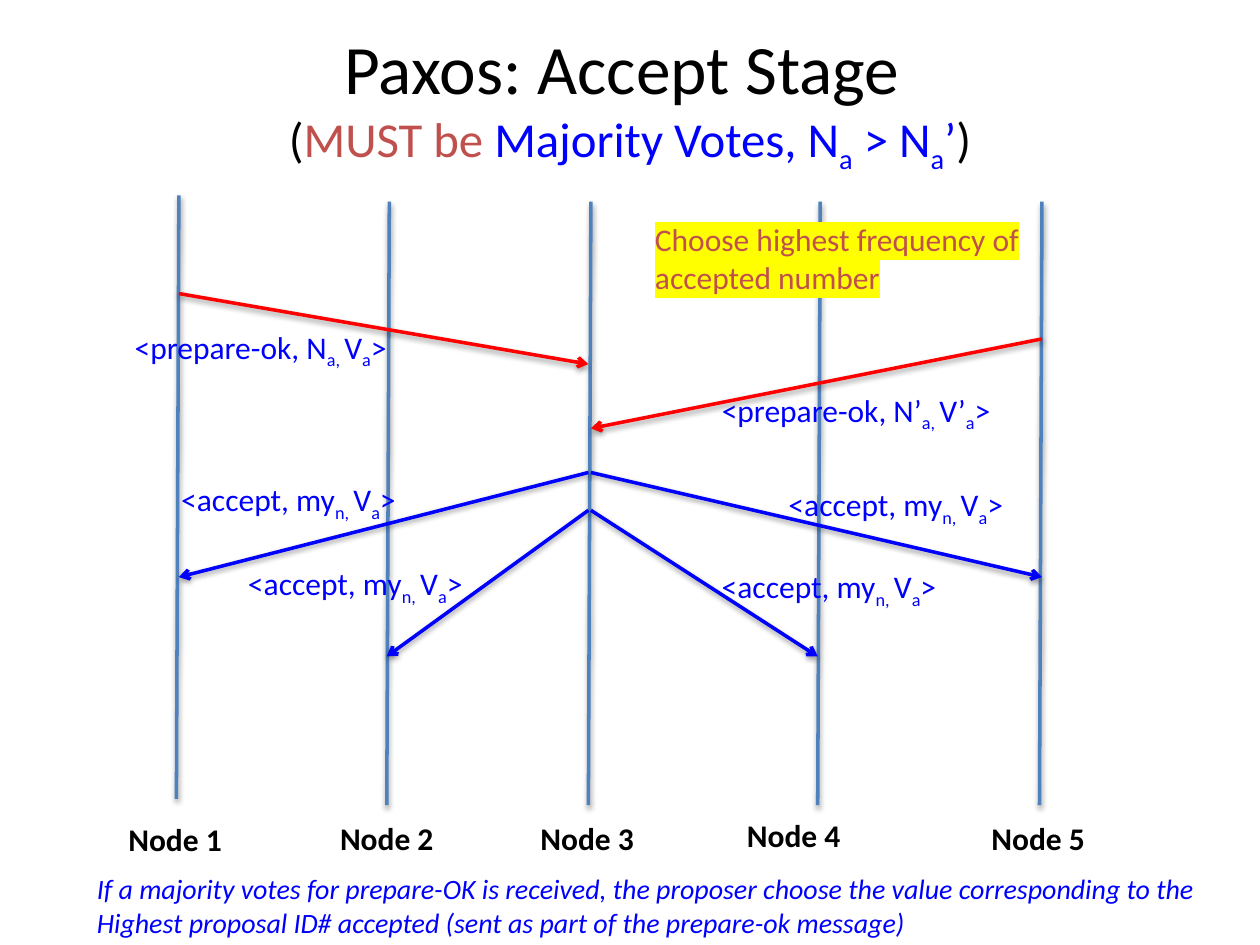
from lxml.etree import SubElement
from pptx import Presentation
from pptx.dml.color import RGBColor
from pptx.enum.shapes import MSO_CONNECTOR as Link
from pptx.enum.text import MSO_ANCHOR as Anchor, MSO_AUTO_SIZE as Fit, PP_ALIGN as Align
from pptx.oxml.ns import qn
from pptx.util import Pt

PX = 9144
BLACK = RGBColor(0, 0, 0)
BLUE = RGBColor(0, 0, 255)
RED = RGBColor(255, 0, 0)
BRICK = RGBColor(0xC0, 0x50, 0x4D)
STEEL = RGBColor(0x4F, 0x81, 0xBD)
ACCEPT = "<accept, my|n, |V|a|>"


def write(para, text, size=18, color=BLUE, bold=False, italic=False, mark=None):
    for i, part in enumerate(text.split("|")):
        run = para.add_run()
        run.text = part
        font = run.font
        font.size, font.bold, font.italic = Pt(size), bold, italic
        font.color.rgb = color
        props = run._r.get_or_add_rPr()
        if i % 2:
            props.set("baseline", "-25000")
        if mark:
            glow = SubElement(props, qn("a:highlight"))
            SubElement(glow, qn("a:srgbClr"), val=mark)
        font.name = "Calibri"


def label(slide, left, top, wide, high, *lines, wrap=False, **form):
    box = slide.shapes.add_textbox(*(v * PX for v in (left, top, wide, high)))
    frame = box.text_frame
    frame.word_wrap = wrap
    frame.auto_size = Fit.SHAPE_TO_FIT_TEXT
    for i, text in enumerate(lines):
        para = frame.add_paragraph() if i else frame.paragraphs[0]
        write(para, text, **form)


def stroke(slide, start, end, color, arrow=False):
    line = slide.shapes.add_connector(Link.STRAIGHT, *(v * PX for v in start + end))
    line.line.color.rgb = color
    line.line.width = Pt(2)
    if arrow:
        SubElement(line.line._get_or_add_ln(), qn("a:tailEnd"), type="arrow")
    effects = SubElement(line._element.spPr, qn("a:effectLst"))
    shade = SubElement(effects, qn("a:outerShdw"), blurRad="40000", dist="20000",
                       dir="5400000", rotWithShape="0")
    tint = SubElement(shade, qn("a:srgbClr"), val="000000")
    SubElement(tint, qn("a:alpha"), val="38000")


def head(slide, left, top, wide, high):
    title = slide.shapes.title
    title.left, title.top, title.width, title.height = (
        v * PX for v in (left, top, wide, high))
    frame = title.text_frame
    frame.auto_size = Fit.NONE
    frame.vertical_anchor = Anchor.MIDDLE
    para = frame.paragraphs[0]
    para.alignment = Align.CENTER
    write(para, "Paxos: Accept Stage ", size=39.6, color=BLACK)
    para.add_line_break()
    for text, color in (("(", BLACK), ("MUST be ", BRICK),
                        ("Majority Votes, N|a| > N|a|’", BLUE), (")", BLACK)):
        write(para, text, size=27.9, color=color)


def lanes(slide, left, top):
    nodes = ((0, 0, -50, 491), (167, 5, 118, 490), (327, 5, 277, 490),
             (509, 5, 441, 488), (685, 5, 635, 490))
    for i, (x, y, tag, base) in enumerate(nodes, 1):
        x, y = left + x, top + y
        stroke(slide, (x, y), (x - 2, y + 479), STEEL)
        label(slide, left + tag, top + base, 95, 40, f"Node {i}",
              color=BLACK, bold=True)


def chat(slide, left, top):
    for x, y, to, end, color in (
            (0, 78, 325, 134, RED), (685, 114, 327, 185, RED),
            (325, 220, 0, 303, BLUE), (325, 250, 165, 366, BLUE),
            (327, 220, 685, 303, BLUE), (327, 250, 507, 366, BLUE)):
        stroke(slide, (left + x, top + y), (left + to, top + end), color, arrow=True)
    for x, y, wide, text in (
            (-45, 100, 229, "<prepare-ok, N|a, |V|a|>"),
            (421, 150, 242, "<prepare-ok, N’|a, |V’|a|>"),
            (-8, 221, 196, ACCEPT), (45, 288, 196, ACCEPT),
            (474, 225, 196, ACCEPT), (421, 290, 196, ACCEPT)):
        label(slide, left + x, top + y, wide, 71, text)
    label(slide, left + 368, top + 15, 387, 71,
          "Choose highest frequency of accepted number",
          wrap=True, color=BRICK, mark="FFFF00")


def foot(slide, left, top, wide, high):
    label(slide, left, top, wide, high,
          "If a majority votes for prepare-OK is received, the proposer choose "
          "the value corresponding to the",
          "Highest proposal ID# accepted (sent as part of the prepare-ok message)",
          size=16, italic=True)


def main():
    deck = Presentation()
    deck.slide_width, deck.slide_height = 1000 * PX, 750 * PX
    slide = deck.slides.add_slide(deck.slide_layouts[5])
    head(slide, 50, 17, 900, 125)
    lanes(slide, 142, 155)
    chat(slide, 142, 155)
    foot(slide, 67, 687, 908, 64)
    deck.save("out.pptx")


if __name__ == "__main__":
    main()
